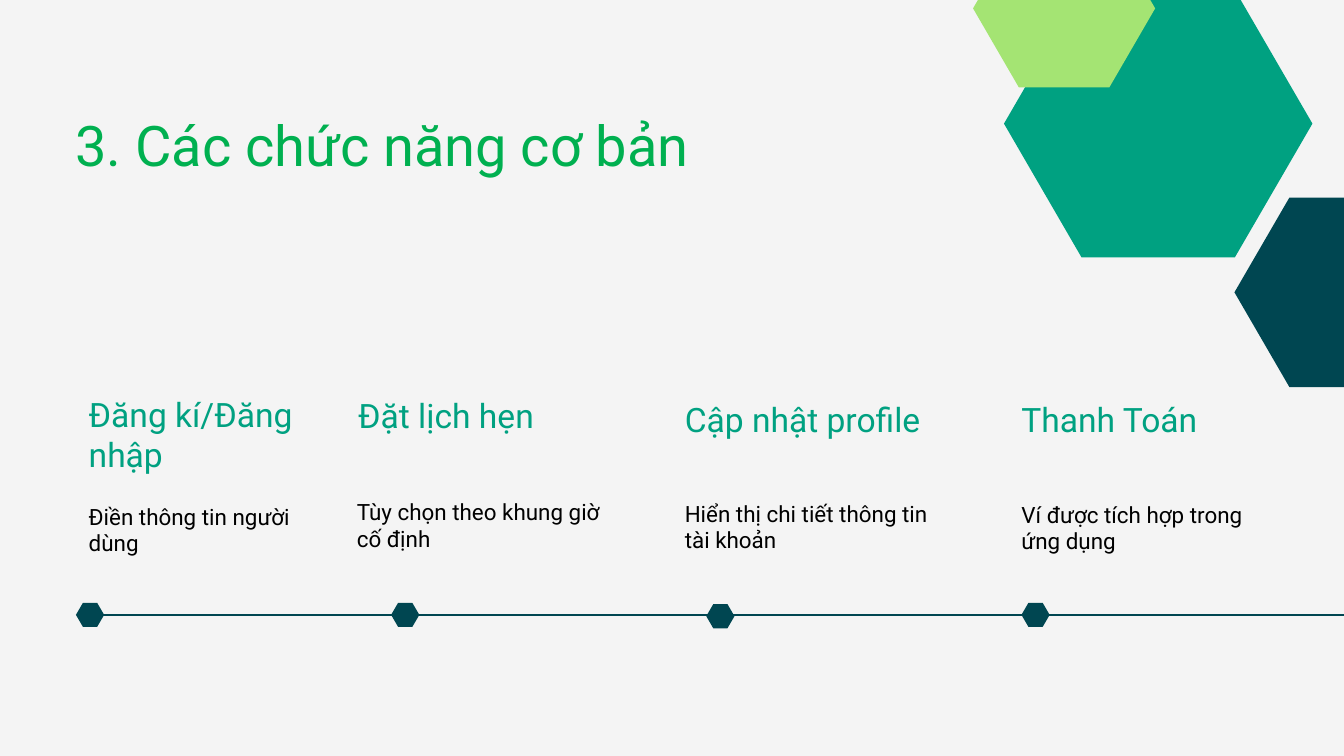
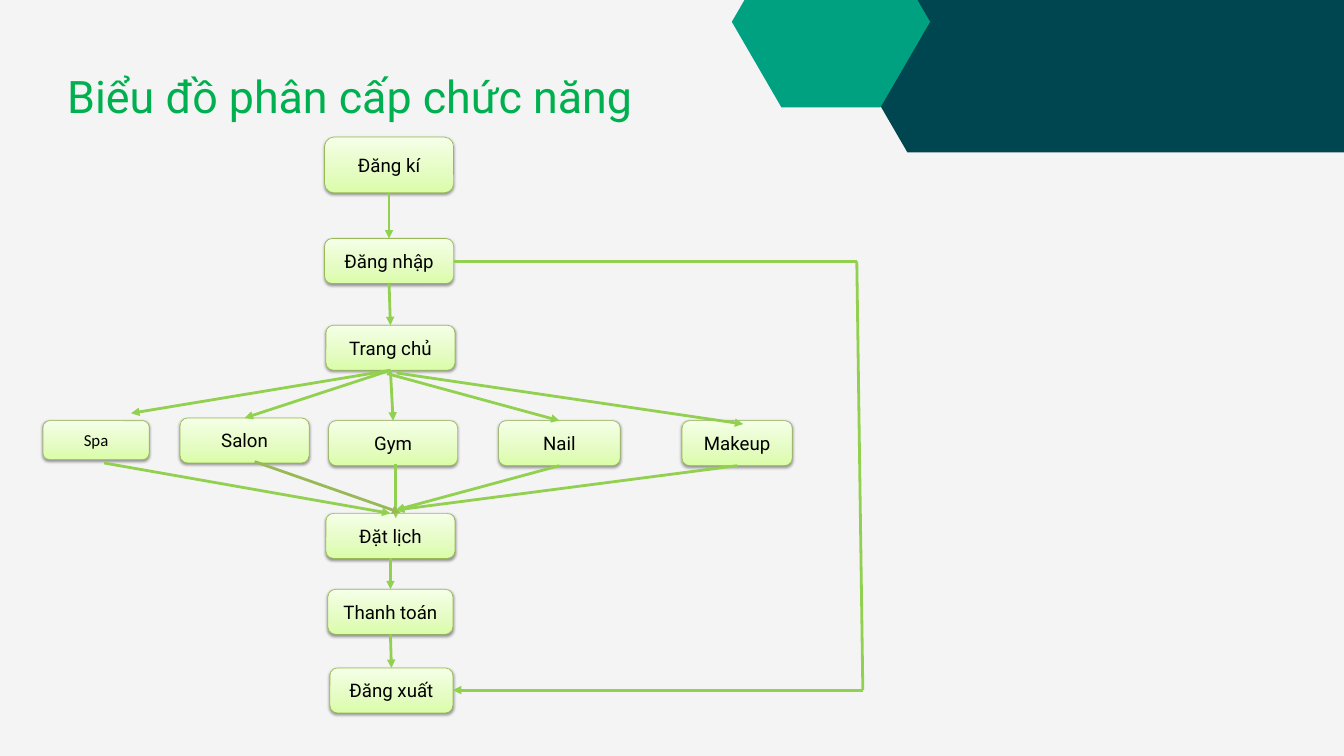
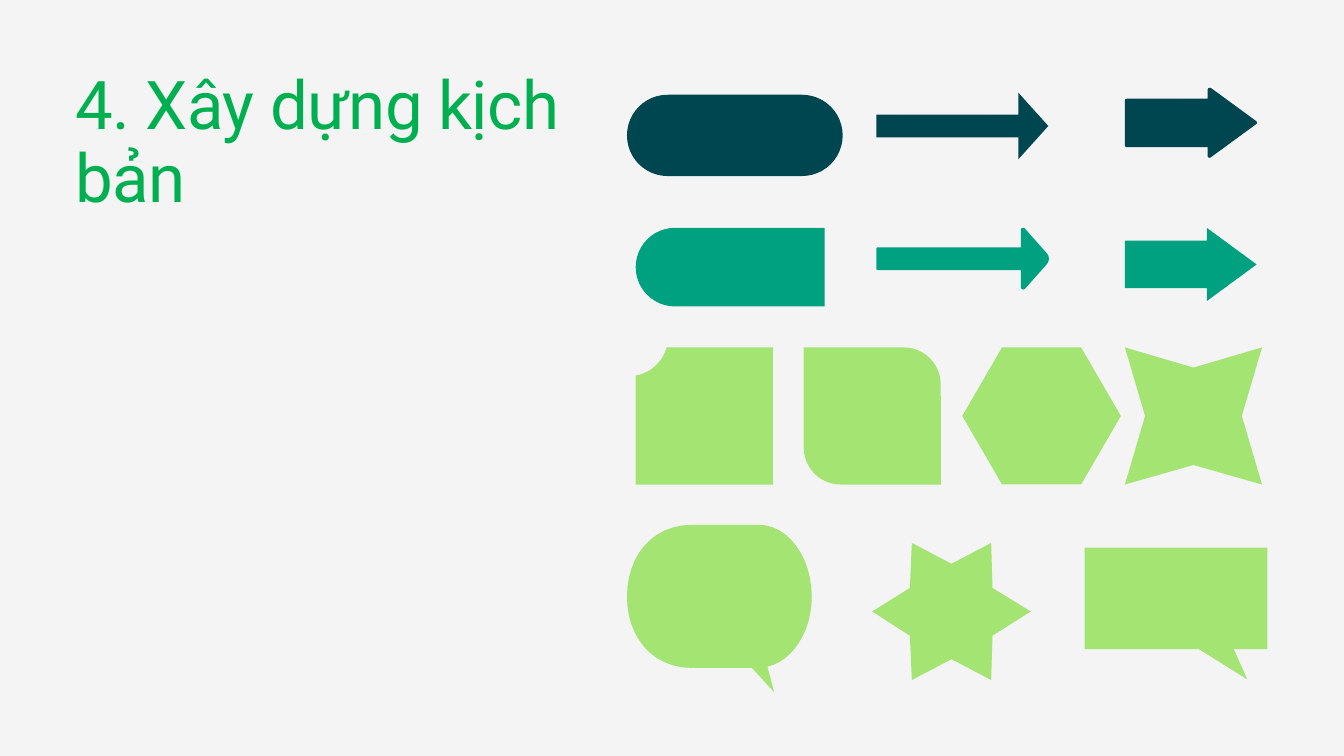
from copy import deepcopy
from lxml import etree
from pptx import Presentation
from pptx import util as u
from pptx.dml.color import RGBColor
from pptx.enum import shapes, text
from pptx.oxml.ns import qn

COLS, ROWS = 20, 11.25
CELL = u.Inches(1)
PAPER, DARK, TEAL, LIME = "F4F4F4", "004651", "00A181", "A4E473"
GREEN, BLACK, LINK, EDGE = "00B050", "000000", "92D050", "98B955"
GLOW = [(0, "DAFDA7"), (0.35, "E4FCC2"), (1, "F5FFE7")]
FONT = "Roboto"
KIND = shapes.MSO_SHAPE


def rgb(hue):
    return RGBColor.from_string(hue)


def grid(*cells):
    return [u.Emu(round(cell * CELL)) for cell in cells]


def page(deck):
    slide = deck.slides.add_slide(deck.slide_layouts[6])
    slide.background.fill.solid()
    slide.background.fill.fore_color.rgb = rgb(PAPER)
    return slide


def style(para, size, hue, font=FONT):
    para.font.size = u.Pt(size)
    para.font.name = font
    para.font.color.rgb = rgb(hue)


def label(slide, box, words, size, hue, lead):
    frame = slide.shapes.add_textbox(*grid(*box)).text_frame
    frame.margin_left = frame.margin_right = 0
    frame.margin_top = frame.margin_bottom = 0
    frame.word_wrap = True
    frame.auto_size = text.MSO_AUTO_SIZE.SHAPE_TO_FIT_TEXT
    para = frame.paragraphs[0]
    para.text = words
    para.line_spacing = u.Pt(lead)
    style(para, size, hue)


def title(slide, box, words, size, lead=107.9):
    label(slide, box, words, size, GREEN, lead)


def paint(shape, hue):
    shape.shadow.inherit = False
    shape.fill.solid()
    shape.fill.fore_color.rgb = rgb(hue)
    shape.line.fill.background()


def solid(slide, kind, box, hue, *bends, turn=0):
    shape = slide.shapes.add_shape(kind, *grid(*box))
    for i, bend in enumerate(bends):
        shape.adjustments[i] = bend
    shape.rotation = turn
    paint(shape, hue)


def hexa(slide, box, hue):
    solid(slide, KIND.HEXAGON, box, hue, 0.29)


def curve(start, bend, steps=12):
    knots = [start, bend[:2], bend[2:4], bend[4:]]
    for step in range(1, steps + 1):
        t = step / steps
        mix = [(1 - t) ** 3, 3 * t * (1 - t) ** 2, 3 * t * t * (1 - t), t ** 3]
        yield tuple(sum(m * k[axis] for m, k in zip(mix, knots)) for axis in (0, 1))


def outline(slide, hue, *steps):
    dots = [steps[0]]
    for step in steps[1:]:
        dots += [step] if len(step) == 2 else list(curve(dots[-1], step))
    first, *rest = [grid(*dot) for dot in dots]
    pen = slide.shapes.build_freeform(*first, scale=1.0)
    pen.add_line_segments(rest, close=True)
    paint(pen.convert_to_shape(), hue)


def line(slide, start, end, hue=LINK, width=3, arrow=True):
    wire = slide.shapes.add_connector(
        shapes.MSO_CONNECTOR.STRAIGHT, *grid(*start, *end))
    wire.line.color.rgb = rgb(hue)
    wire.line.width = u.Pt(width)
    if arrow:
        etree.SubElement(wire.line._get_or_add_ln(), qn("a:tailEnd"), type="triangle")
    etree.SubElement(wire._element.spPr, qn("a:effectLst"))


def shade(shape):
    shape.shadow.inherit = False
    effect = shape._element.spPr.find(qn("a:effectLst"))
    cast = etree.SubElement(effect, qn("a:outerShdw"), blurRad="40000",
                            dist="20000", dir="5400000", rotWithShape="0")
    tint = etree.SubElement(cast, qn("a:srgbClr"), val=BLACK)
    etree.SubElement(tint, qn("a:alpha"), val="38000")


def node(slide, box, words, size=20, font=FONT):
    shape = slide.shapes.add_shape(KIND.ROUNDED_RECTANGLE, *grid(*box))
    shape.fill.gradient()
    shape.fill.gradient_angle = 90
    stops = shape._element.spPr.find(".//" + qn("a:gsLst"))
    stops.append(deepcopy(stops[0]))
    for stop, (place, hue) in zip(shape.fill.gradient_stops, GLOW):
        stop.position = place
        stop.color.rgb = rgb(hue)
    shape.line.color.rgb = rgb(EDGE)
    shape.line.width = u.Pt(0.75)
    shade(shape)
    para = shape.text_frame.paragraphs[0]
    para.text = words
    para.alignment = text.PP_ALIGN.CENTER
    style(para, size, BLACK, font)


def head(box):
    return box[0] + box[2] / 2, box[1]


def foot(box):
    return box[0] + box[2] / 2, box[1] + box[3]


def basics(deck):
    slide = page(deck)
    line(slide, (1.39, 9.15), (COLS, 9.15), DARK, 1.5, False)
    steps = [
        ("Đăng kí/Đăng nhập", (1.32, 5.86, 3.68, 2.11),
         "Điền thông tin người dùng", (1.32, 7.49, 3.68, 0.79)),
        ("Đặt lịch hẹn", (5.33, 5.87, 3.99, 0.6),
         "Tùy chọn theo khung giờ cố định", (5.31, 7.43, 3.8, 0.79)),
        ("Cập nhật profile", (10.19, 5.94, 3.99, 0.6),
         "Hiển thị chi tiết thông tin tài khoản", (10.19, 7.45, 3.68, 0.79)),
        ("Thanh Toán", (15.2, 5.94, 3.68, 0.6),
         "Ví được tích hợp trong ứng dụng", (15.2, 7.47, 3.68, 0.79)),
    ]
    for name, top, note, low in steps:
        label(slide, top, name, 36, TEAL, 43.2)
        label(slide, low, note, 24, BLACK, 28)
    title(slide, (1.12, 1.14, 10.46, 1.34), "3. Các chức năng cơ bản", 60)
    for i, y in enumerate([8.97, 8.97, 8.99, 8.97]):
        hexa(slide, (1.13 + 4.69 * i, y, 0.42, 0.36), DARK)
    hexa(slide, (18.37, 2.94, 3.26, 2.82), DARK)
    hexa(slide, (14.94, -0.15, 4.59, 3.98), TEAL)
    hexa(slide, (14.48, -1.05, 2.71, 2.35), LIME)


def chart(deck):
    slide = page(deck)
    title(slide, (1, 0.33, 9.75, 1.3), "Biểu đồ phân cấp chức năng", 48)
    hexa(slide, (11.53, -4.54, 10.74, 6.81), DARK)
    hexa(slide, (10.89, -0.95, 2.95, 2.55), TEAL)
    join, sign, home = "Đăng kí", "Đăng nhập", "Trang chủ"
    book, pay, leave = "Đặt lịch", "Thanh toán", "Đăng xuất"
    boxes = {
        join: (4.83, 2.04, 1.92, 0.83),
        sign: (4.83, 3.55, 1.92, 0.67),
        home: (4.85, 4.84, 1.92, 0.67),
        "Spa": (0.64, 6.26, 1.58, 0.58),
        "Salon": (2.68, 6.22, 1.92, 0.67),
        "Gym": (4.89, 6.26, 1.92, 0.67),
        "Nail": (7.42, 6.26, 1.81, 0.67),
        "Makeup": (10.15, 6.26, 1.64, 0.67),
        book: (4.85, 7.64, 1.92, 0.67),
        pay: (4.88, 8.77, 1.86, 0.67),
        leave: (4.91, 9.94, 1.83, 0.67),
    }
    for name, box in boxes.items():
        look = (18, "Calibri") if name == "Spa" else ()
        node(slide, box, name, *look)
    pairs = [(join, sign), (sign, home), (home, "Gym"), (home, "Salon"),
             (book, pay), (pay, leave)]
    for start, end in pairs:
        line(slide, foot(boxes[start]), head(boxes[end]))
    line(slide, foot(boxes[home]), (1.95, 6.15))
    line(slide, (5.76, 5.56), head(boxes["Nail"]))
    line(slide, (5.9, 5.55), (11.06, 6.31))
    line(slide, (5.89, 6.91), (5.89, 7.71))
    loop = [(6.75, 3.89), (12.75, 3.89), (12.84, 10.27), (6.74, 10.27)]
    for i in range(3):
        line(slide, loop[i], loop[i + 1], arrow=i == 2)
    line(slide, (1.55, 6.89), head(boxes[book]))
    line(slide, (3.79, 6.87), (5.96, 7.63), EDGE)
    for name in ("Nail", "Makeup"):
        line(slide, foot(boxes[name]), (5.89, 7.59))


def script(deck):
    slide = page(deck)
    title(slide, (1.12, 1.05, 7.57, 2.19), "4. Xây dựng kịch bản", 72, 78)
    run = slide.shapes[0].text_frame.paragraphs[0].runs[0]
    run.font._element.set("spc", "-60")
    solid(slide, KIND.ROUNDED_RECTANGLE, (9.33, 1.41, 3.21, 1.21), DARK, 0.5)
    outline(slide, LIME, (11.5, 5.17), (11.5, 7.21), (9.46, 7.21), (9.46, 5.59),
            (9.68, 5.55, 9.86, 5.39, 9.92, 5.17))
    solid(slide, KIND.ROUND_2_DIAG_RECTANGLE, (11.96, 5.17, 2.04, 2.04), LIME, 0, 0.27)
    hexa(slide, (14.32, 5.17, 2.36, 2.04), LIME)
    outline(slide, LIME, (18.78, 5.17), (18.48, 6.19), (18.78, 7.21), (17.76, 6.92),
            (16.74, 7.21), (17.04, 6.19), (16.74, 5.17), (17.76, 5.47))
    outline(slide, LIME, (15.34, 9.1), (14.77, 9.46), (14.75, 10.12), (14.16, 9.81),
            (13.57, 10.12), (13.54, 9.46), (12.98, 9.1), (13.54, 8.75),
            (13.57, 8.08), (14.16, 8.39), (14.75, 8.08), (14.77, 8.75))
    outline(slide, LIME, (18.86, 9.66), (18.36, 9.66), (18.56, 10.11),
            (17.84, 9.66), (16.14, 9.66), (16.14, 8.15), (18.86, 8.15))
    outline(slide, DARK, (18.69, 1.85), (18.02, 2.34),
            (18, 2.36, 17.97, 2.34, 17.97, 2.32), (17.97, 2.19), (16.77, 2.19),
            (16.75, 2.19, 16.74, 2.18, 16.74, 2.16), (16.74, 1.5),
            (16.74, 1.48, 16.75, 1.47, 16.77, 1.47), (17.97, 1.47), (17.97, 1.34),
            (17.97, 1.31, 18, 1.3, 18.02, 1.31), (18.69, 1.8),
            (18.71, 1.82, 18.71, 1.84, 18.69, 1.85))
    outline(slide, LIME, (12.08, 8.88), (12.08, 9.4, 11.79, 9.84, 11.42, 9.92),
            (11.52, 10.3), (11.19, 9.94), (10.3, 9.94),
            (9.69, 9.94, 9.33, 9.46, 9.33, 8.88),
            (9.33, 8.29, 9.69, 7.81, 10.3, 7.81), (11.29, 7.81),
            (11.73, 7.81, 12.08, 8.29, 12.08, 8.88))
    solid(slide, KIND.RIGHT_ARROW, (13.04, 1.38, 2.56, 0.99), DARK, 0.34, 0.45)
    outline(slide, TEAL, (15.57, 3.94), (15.25, 4.3),
            (15.23, 4.32, 15.19, 4.3, 15.19, 4.27), (15.19, 4.02), (13.07, 4.02),
            (13.05, 4.02, 13.04, 4.01, 13.04, 3.99), (13.04, 3.71),
            (13.04, 3.69, 13.05, 3.68, 13.07, 3.68), (15.19, 3.68), (15.19, 3.42),
            (15.19, 3.39, 15.23, 3.38, 15.25, 3.4), (15.57, 3.76),
            (15.62, 3.81, 15.62, 3.89, 15.57, 3.94))
    solid(slide, KIND.RIGHT_ARROW, (16.74, 3.39, 1.96, 1.09), TEAL, 0.65, 0.68)
    solid(slide, KIND.ROUND_2_SAME_RECTANGLE, (10.28, 2.57, 1.17, 2.81), TEAL,
          0.5, 0, turn=270)


def main():
    deck = Presentation()
    deck.slide_width, deck.slide_height = grid(COLS, ROWS)
    basics(deck)
    chart(deck)
    script(deck)
    deck.save("out.pptx")


if __name__ == "__main__":
    main()
